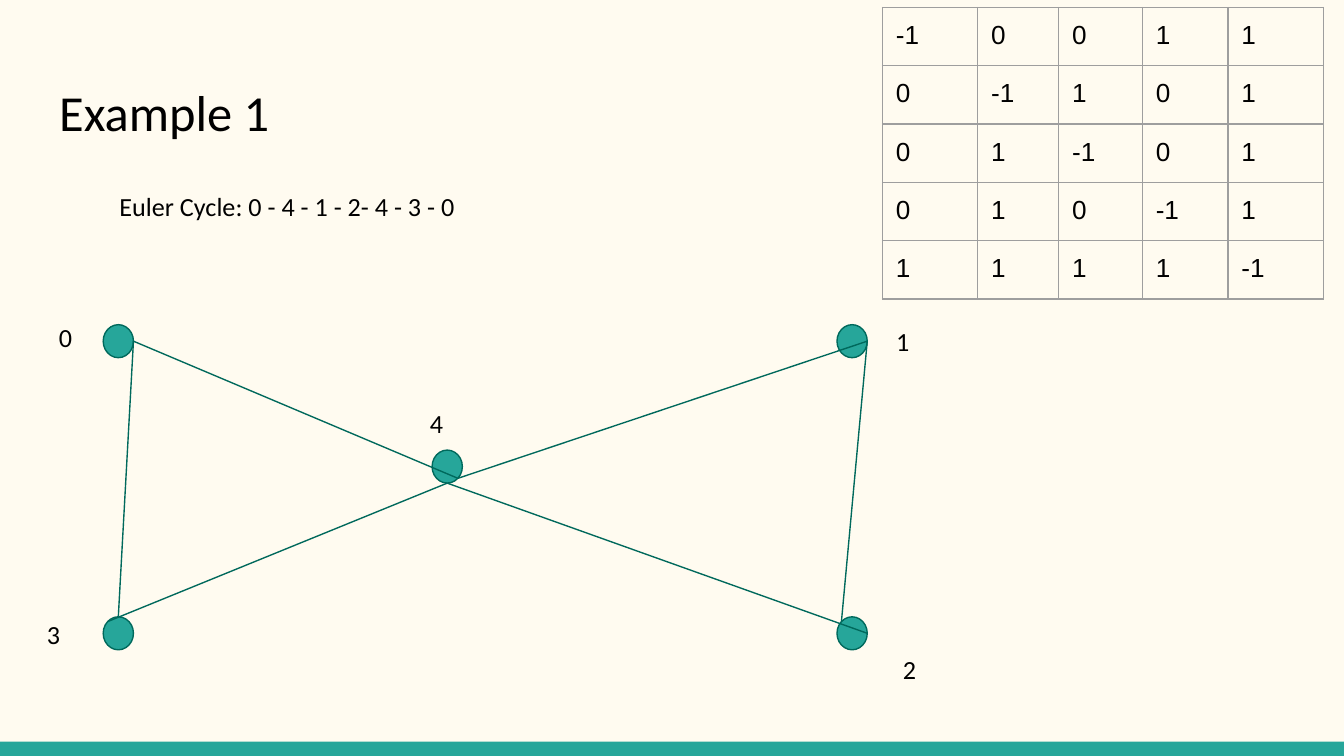
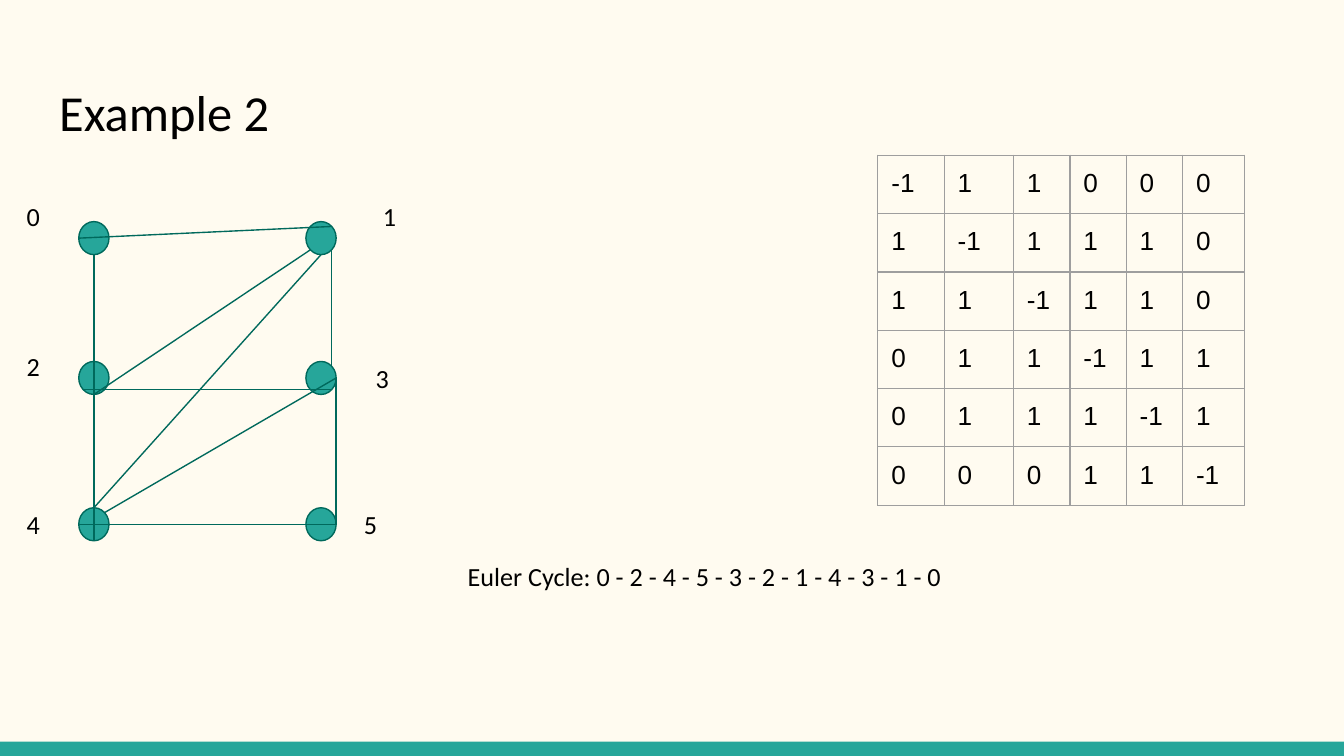
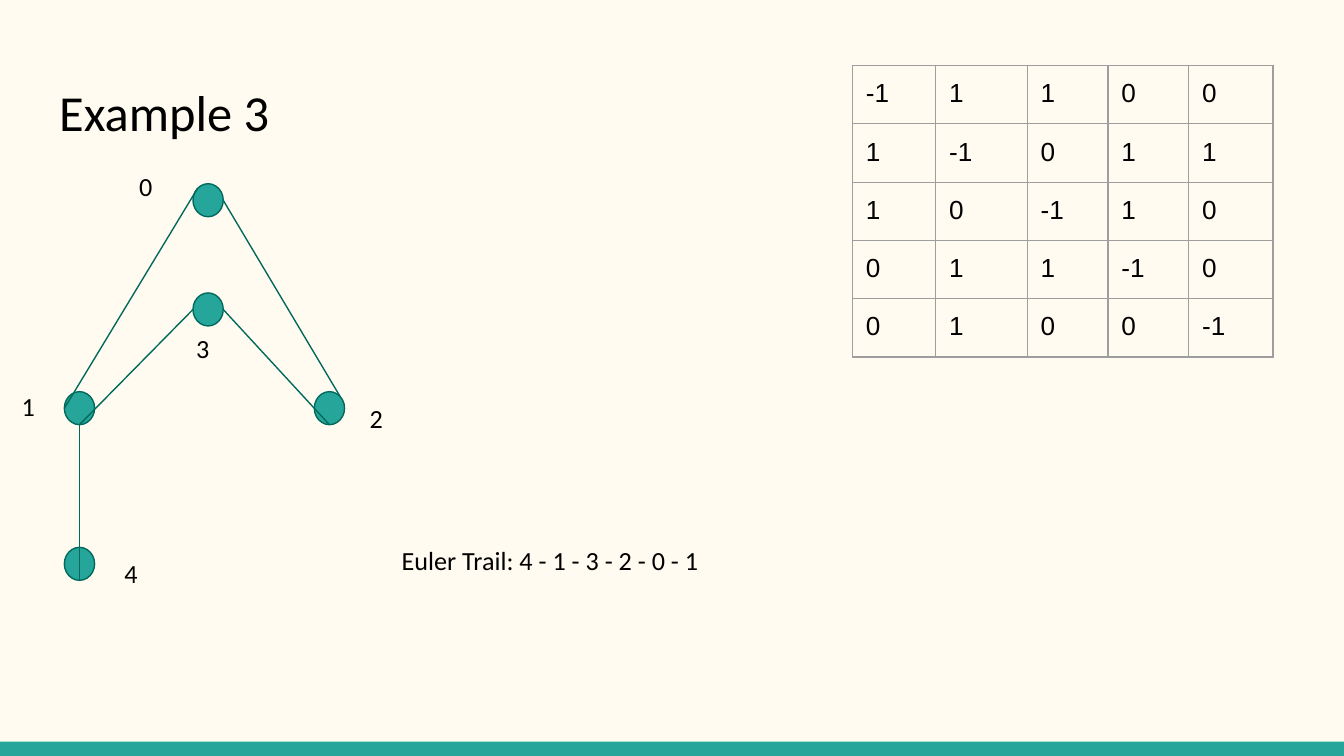
import math
from dataclasses import dataclass

import pptx
import pptx.dml.color
import pptx.enum.shapes
import pptx.enum.text
import pptx.oxml
import pptx.oxml.ns
import pptx.util
from lxml import etree

Pt = pptx.util.Pt
qn = pptx.oxml.ns.qn
MSO_SHAPE = pptx.enum.shapes.MSO_SHAPE
STRAIGHT = pptx.enum.shapes.MSO_CONNECTOR.STRAIGHT
ALIGN = pptx.enum.text.PP_ALIGN
ANCHOR = pptx.enum.text.MSO_ANCHOR
AUTO_SIZE = pptx.enum.text.MSO_AUTO_SIZE


@dataclass(frozen=True)
class Theme:
    paper: str = "FFFBF0"
    teal: str = "26A69A"
    dark_teal: str = "00695C"
    grid: str = "9E9E9E"
    ink: str = "000000"
    font: str = "Calibri"
    table_font: str = "Arial"
    title_size: float = 27
    text_size: float = 14
    line_width: float = 0.75
    inset: float = 7.2


THEME = Theme()
WIDTH, HEIGHT = 720, 405
BAND_HEIGHT = 7.7
TITLE_BOX = (24.5, 35.3, 671, 48.2)
NODE_SIZE = (16.2, 17.7)
LABEL_HEIGHT = 31.7

COMPASS = {"E": 0, "SE": 45, "S": 90, "SW": 135, "W": 180, "NW": 225, "N": 270, "NE": 315}

EXAMPLES = [
    {
        "title": "Example 1",
        "walk": ("Euler Cycle: 0 - 4 - 1 - 2- 4 - 3 - 0", 56.9, 95, 369.4),
        "nodes": {0: (63.4, 182.8), 1: (456.5, 182.8), 2: (456.5, 339.3),
                  3: (63.4, 339.3), 4: (239.6, 250)},
        "labels": {0: (24.5, 164.9, 15.8), 1: (473, 167, 29.5), 2: (476.6, 342.7, 26.6),
                   3: (18, 324, 29.5), 4: (223.2, 211, 29.5)},
        "edges": [(0, "E", 3, "N"), (1, "E", 2, "NW"), (3, "NW", 4, "S"),
                  (4, "SE", 1, "E"), (4, "S", 2, "E"), (4, "SE", 0, "E")],
        "table": {"at": (472.7, 4), "row": 31.2, "cols": (51.1, 43.4, 44.8, 45.9, 51.1)},
        "matrix": ["-1 0 0 1 1", "0 -1 1 0 1", "0 1 -1 0 1", "0 1 0 -1 1", "1 1 1 1 -1"],
    },
    {
        "title": "Example 2",
        "walk": ("Euler Cycle: 0 - 2 - 4 - 5 - 3 - 2 - 1 - 4 - 3 - 1 - 0", 243.4, 293, 326.2),
        "nodes": {0: (50.3, 127.6), 1: (172, 127.6), 2: (50.3, 202.5),
                  3: (172, 202.5), 4: (50.3, 280.9), 5: (172, 280.9)},
        "labels": {0: (7.2, 100.1, 20.9), 1: (198, 100.1, 20.9), 2: (7.2, 180.3, 20.9),
                   3: (194.2, 186.7, 20.9), 4: (7.2, 265, 20.9), 5: (187.9, 265, 20.9)},
        "edges": [(0, "S", 2, "S"), (2, "S", 4, "S"), (4, "W", 5, "E"), (5, "E", 3, "E"),
                  (3, "NE", 1, "SE"), (1, "NE", 0, "W"), (2, "SW", 3, "SE"),
                  (2, "S", 1, "SW"), (3, "E", 4, "NE"), (4, "N", 1, "S")],
        "table": {"at": (470.3, 83.2), "row": 31.2, "cols": (35.5, 37.2, 30.2, 30.2, 30.2, 33.2)},
        "matrix": ["-1 1 1 0 0 0", "1 -1 1 1 1 0", "1 1 -1 1 1 0",
                   "0 1 1 -1 1 1", "0 1 1 1 -1 1", "0 0 0 1 1 -1"],
    },
    {
        "title": "Example 3",
        "walk": ("Euler Trail: 4 - 1 - 3 - 2 - 0 - 1", 208.1, 284.7, 316.1),
        "nodes": {0: (111.5, 107.3), 1: (42.6, 218.7), 2: (176.5, 218.7),
                  3: (111.5, 165.8), 4: (42.6, 302.1)},
        "labels": {0: (67.5, 83.9, 30.2), 1: (4.5, 201.7, 26.6), 2: (190.9, 208.2, 26.6),
                   3: (98, 170.9, 15.8), 4: (59.6, 291.6, 38.2)},
        "edges": [(4, "S", 1, "S"), (2, "S", 3, "E"), (2, "NE", 0, "E"),
                  (0, "NW", 1, "W"), (3, "W", 1, "S")],
        "table": {"at": (456.7, 35.1), "row": 30.2, "cols": (44.6, 49, 43.3, 43.3, 45.2)},
        "matrix": ["-1 1 1 0 0", "1 -1 0 1 1", "1 0 -1 1 0", "0 1 1 -1 0", "0 1 0 0 -1"],
    },
]


def rgb(value):
    return pptx.dml.color.RGBColor.from_string(value)


def style_paragraph(p, size=THEME.text_size, font=THEME.font):
    p.font.size = Pt(size)
    p.font.name = font
    p.font.color.rgb = rgb(THEME.ink)
    p.alignment = ALIGN.LEFT


def set_insets(tf):
    tf.margin_left = tf.margin_right = tf.margin_top = tf.margin_bottom = Pt(THEME.inset)


def add_filled(slide, kind, x, y, w, h):
    sp = slide.shapes.add_shape(kind, Pt(x), Pt(y), Pt(w), Pt(h))
    sp.shadow.inherit = False
    sp.fill.solid()
    sp.fill.fore_color.rgb = rgb(THEME.teal)
    return sp


def add_text(slide, text, x, y, w):
    sp = slide.shapes.add_textbox(Pt(x), Pt(y), Pt(w), Pt(LABEL_HEIGHT))
    tf = sp.text_frame
    tf.word_wrap = True
    set_insets(tf)
    tf.text = text
    style_paragraph(tf.paragraphs[0])


def add_node(slide, cx, cy):
    w, h = NODE_SIZE
    sp = add_filled(slide, MSO_SHAPE.OVAL, cx - w / 2, cy - h / 2, w, h)
    sp.line.color.rgb = rgb(THEME.dark_teal)
    sp.line.width = Pt(THEME.line_width)


def rim_point(center, direction):
    angle = math.radians(COMPASS[direction])
    (cx, cy), (w, h) = center, NODE_SIZE
    return Pt(cx + w / 2 * math.cos(angle)), Pt(cy + h / 2 * math.sin(angle))


def add_edge(slide, nodes, start, start_side, end, end_side):
    line = slide.shapes.add_connector(
        STRAIGHT, *rim_point(nodes[start], start_side), *rim_point(nodes[end], end_side))
    line.line.color.rgb = rgb(THEME.dark_teal)
    line.line.width = Pt(THEME.line_width)
    etree.SubElement(line._element.spPr, qn("a:effectLst"))


def set_borders(cell):
    tc_pr = cell._tc.get_or_add_tcPr()
    for i, side in enumerate(("lnL", "lnR", "lnT", "lnB")):
        ln = etree.Element(qn(f"a:{side}"), w=str(Pt(THEME.line_width)))
        fill = etree.SubElement(ln, qn("a:solidFill"))
        etree.SubElement(fill, qn("a:srgbClr"), val=THEME.grid)
        tc_pr.insert(i, ln)


def add_matrix(slide, rows, at, row, cols):
    x, y = at
    frame = slide.shapes.add_table(
        len(rows), len(cols), Pt(x), Pt(y), Pt(sum(cols)), Pt(row * len(rows)))
    table = frame.table
    table.first_row = table.horz_banding = False
    for column, width in zip(table.columns, cols):
        column.width = Pt(width)
    for r, values in enumerate(rows):
        table.rows[r].height = Pt(row)
        for c, value in enumerate(values.split()):
            cell = table.cell(r, c)
            cell.text = value
            set_insets(cell)
            cell.fill.background()
            set_borders(cell)
            style_paragraph(cell.text_frame.paragraphs[0], font=THEME.table_font)


def set_up_master(prs, layout, slide):
    master = prs.slide_master
    master.background.fill.solid()
    master.background.fill.fore_color.rgb = rgb(THEME.paper)
    band = add_filled(slide, MSO_SHAPE.RECTANGLE, 0, HEIGHT - BAND_HEIGHT, WIDTH, BAND_HEIGHT)
    band.line.fill.background()
    band._element.nvSpPr.cNvPr.set("id", "20")
    master.shapes._spTree.insert(2, band._element)
    title = layout.placeholders[0]
    title.left, title.top, title.width, title.height = map(Pt, TITLE_BOX)


def add_title(slide, text):
    tf = slide.shapes.title.text_frame
    tf.text = text
    tf.auto_size = AUTO_SIZE.NONE
    tf.vertical_anchor = ANCHOR.MIDDLE
    set_insets(tf)
    style_paragraph(tf.paragraphs[0], THEME.title_size)


def build_example(slide, example):
    add_title(slide, example["title"])
    for center in example["nodes"].values():
        add_node(slide, *center)
    for edge in example["edges"]:
        add_edge(slide, example["nodes"], *edge)
    for number, place in example["labels"].items():
        add_text(slide, str(number), *place)
    add_matrix(slide, example["matrix"], **example["table"])
    add_text(slide, *example["walk"])


def main():
    prs = pptx.Presentation()
    prs.slide_width, prs.slide_height = Pt(WIDTH), Pt(HEIGHT)
    layout = prs.slide_layouts[5]
    slides = [prs.slides.add_slide(layout) for _ in EXAMPLES]
    set_up_master(prs, layout, slides[0])
    for slide, example in zip(slides, EXAMPLES):
        build_example(slide, example)
    prs.save("out.pptx")


if __name__ == "__main__":
    main()
